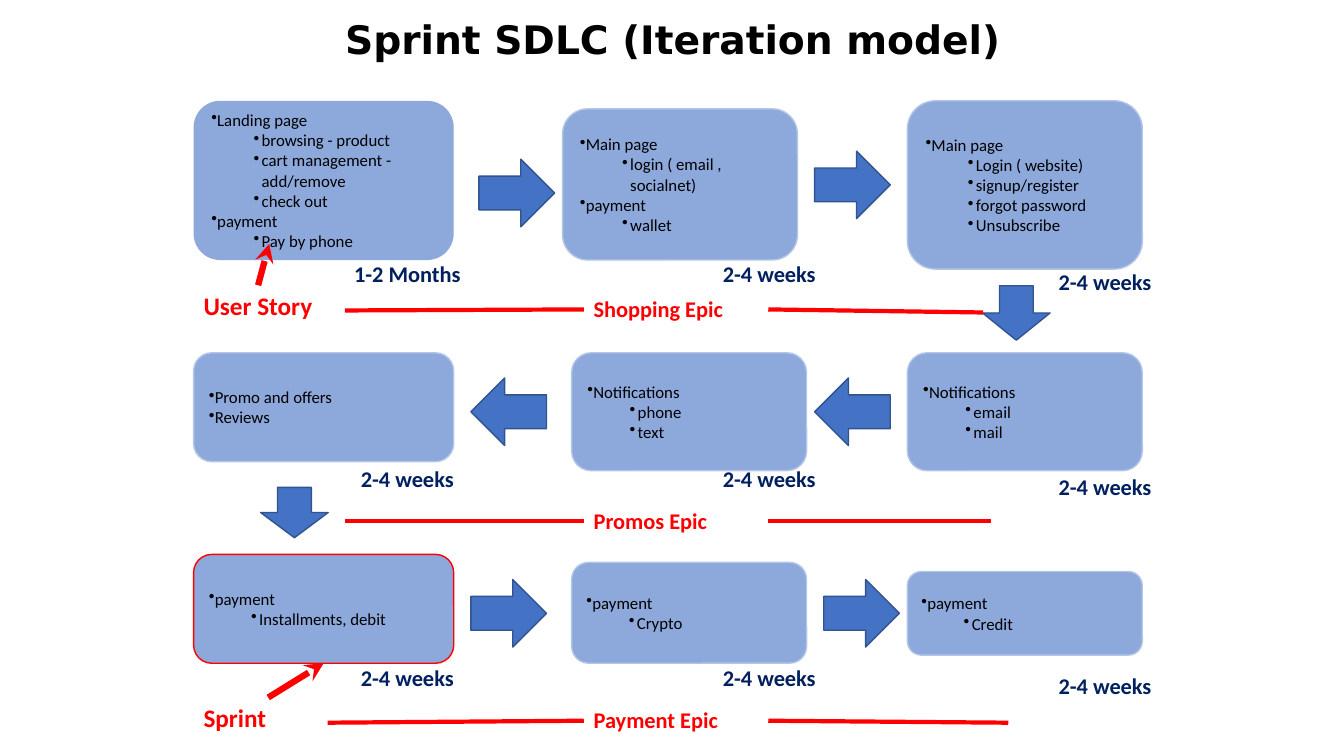
from lxml.etree import SubElement
from pptx import Presentation
from pptx.dml.color import RGBColor
from pptx.enum.shapes import MSO_CONNECTOR as Connector, MSO_SHAPE as Shape
from pptx.enum.text import MSO_ANCHOR as Anchor, MSO_AUTO_SIZE as AutoSize, PP_ALIGN as Align
from pptx.oxml.ns import qn
from pptx.util import Emu, Pt

PX_PER_INCH = 100


def px(length):
    return Emu(length * 914400 // PX_PER_INCH)


def colour(hex_code):
    return RGBColor.from_string(hex_code)


class SprintSlide:
    FONT, TITLE_FONT = "Calibri", "DejaVu Sans"
    BLACK, RED, NAVY = "000000", "FF0000", "002060"
    BOX, BOX_EDGE = "8DA9DB", "B3C6E7"
    ARROW, ARROW_EDGE = "4472C4", "31538F"

    def __init__(self, deck):
        self.slide = deck.slides.add_slide(deck.slide_layouts[5])
        self.shapes = self.slide.shapes

    def style(self, paragraph, size, ink, bold=True, font=FONT, align=Align.LEFT):
        paragraph.alignment = align
        for run in paragraph.runs:
            run.font.name = font
            run.font.size = Pt(size)
            run.font.bold = bold
            run.font.color.rgb = colour(ink)

    def title(self, text, *place):
        heading = self.shapes.title
        heading.left, heading.top, heading.width, heading.height = map(px, place)
        frame = heading.text_frame
        frame.text = text
        frame.auto_size = AutoSize.NONE
        frame.vertical_anchor = Anchor.MIDDLE
        self.style(frame.paragraphs[0], 28, self.BLACK, font=self.TITLE_FONT, align=Align.CENTER)

    def text(self, text, place, size, ink, centred=False):
        frame = self.shapes.add_textbox(*map(px, place)).text_frame
        frame.text = text
        frame.word_wrap = True
        if centred:
            frame.vertical_anchor = Anchor.MIDDLE
        else:
            frame.auto_size = AutoSize.SHAPE_TO_FIT_TEXT
        self.style(frame.paragraphs[0], size, ink, align=Align.CENTER if centred else Align.LEFT)

    def block(self, preset, place, fill, edge):
        block = self.shapes.add_shape(preset, *map(px, place))
        block.shadow.inherit = False
        block.fill.solid()
        block.fill.fore_color.rgb = colour(fill)
        if edge:
            block.line.color.rgb = colour(edge)
            block.line.width = Pt(1)
        else:
            block.line.fill.background()
        return block

    def bullet(self, paragraph, level):
        paragraph.level = level
        properties = paragraph._p.get_or_add_pPr()
        properties.set("marL", str(px(50 * level)))
        properties.set("indent", str(px(-8 * level)))
        ink = SubElement(properties, qn("a:buClr"))
        SubElement(ink, qn("a:srgbClr")).set("val", self.BLACK)
        SubElement(properties, qn("a:buChar")).set("char", "•")

    def iteration(self, place, stories, edge=BOX_EDGE):
        frame = self.block(Shape.ROUNDED_RECTANGLE, place, self.BOX, edge).text_frame
        frame.word_wrap = True
        frame.vertical_anchor = Anchor.MIDDLE
        lines = [(level, line) for story, *tasks in stories
                 for level, line in [(0, story)] + [(1, task) for task in tasks]]
        frame.text = "\n".join(line for _, line in lines)
        for paragraph, (level, _) in zip(frame.paragraphs, lines):
            self.style(paragraph, 12, self.BLACK, bold=False)
            self.bullet(paragraph, level)

    def arrow(self, left, top, rotation, width=75):
        arrow = self.block(Shape.RIGHT_ARROW, (left, top, width, 67), self.ARROW, self.ARROW_EDGE)
        arrow.rotation = rotation

    def line(self, ends, weight, pointed=False):
        line = self.shapes.add_connector(Connector.STRAIGHT, *map(px, ends))
        line.line.color.rgb = colour(self.RED)
        line.line.width = Pt(weight)
        if pointed:
            SubElement(line.line._get_or_add_ln(), qn("a:tailEnd")).set("type", "stealth")
        SubElement(line._element.spPr, qn("a:effectLst"))

    def callout(self, text, place, ends):
        self.text(text, place, 18, self.RED)
        self.line(ends, 4.5, pointed=True)

    def epic(self, name, left, right, middle, left_drop, right_drop):
        self.line((left, middle + left_drop, 579, middle), 3)
        self.line((762, middle, right, middle + right_drop), 3)
        self.text(name, (579, middle - 19, 183, 37), 16, self.RED)


ITERATIONS = [
    ((192, 100, 258, 158), [
        ("Landing page", "browsing - product", "cart management - add/remove", "check out"),
        ("payment", "Pay by phone")], None),
    ((558, 108, 233, 150), [("Main page", "login ( email , socialnet)"), ("payment", "wallet")]),
    ((900, 100, 233, 167), [
        ("Main page", "Login ( website)", "signup/register", "forgot password", "Unsubscribe")]),
    ((192, 350, 258, 108), [("Promo and offers",), ("Reviews",)]),
    ((567, 350, 233, 117), [("Notifications", "phone", "text")]),
    ((900, 350, 233, 117), [("Notifications", "email", "mail")]),
    ((192, 550, 258, 108), [("payment", "Installments, debit")], SprintSlide.RED),
    ((567, 558, 233, 100), [("payment", "Crypto")]),
    ((900, 567, 233, 83), [("payment", "Credit")]),
]
RIGHT, DOWN, LEFT = 0, 90, 180
ARROWS = [
    (475, 158, RIGHT), (808, 150, RIGHT), (981, 277, DOWN, 54),
    (808, 375, LEFT), (467, 375, LEFT), (267, 475, DOWN, 50),
    (467, 575, RIGHT), (817, 575, RIGHT),
]
DURATION_COLUMNS = [(333, 0), (692, 0), (1025, 8)]
DURATION_ROWS = [242, 446, 643]
EPICS = [
    ("Shopping Epic", 342, 975, 307, 1, 3),
    ("Promos Epic", 342, 983, 517, 0, 0),
    ("Payment Epic", 325, 1000, 715, 2, 2),
]


def main():
    deck = Presentation()
    deck.slide_width, deck.slide_height = px(1333), px(750)
    sprint = SprintSlide(deck)
    sprint.title("Sprint SDLC (Iteration model)", 217, 0, 900, 78)
    for iteration in ITERATIONS:
        sprint.iteration(*iteration)
    for arrow in ARROWS:
        sprint.arrow(*arrow)
    for row, top in enumerate(DURATION_ROWS):
        for column, (left, drop) in enumerate(DURATION_COLUMNS):
            duration = "1-2 Months" if row == column == 0 else "2-4 weeks"
            sprint.text(duration, (left, top + drop, 142, 58), 16, sprint.NAVY, centred=True)
    sprint.callout("User Story", (192, 283, 129, 40), (256, 283, 267, 242))
    sprint.callout("Sprint", (192, 692, 148, 40), (266, 692, 321, 658))
    for epic in EPICS:
        sprint.epic(*epic)
    deck.save("out.pptx")


if __name__ == "__main__":
    main()
